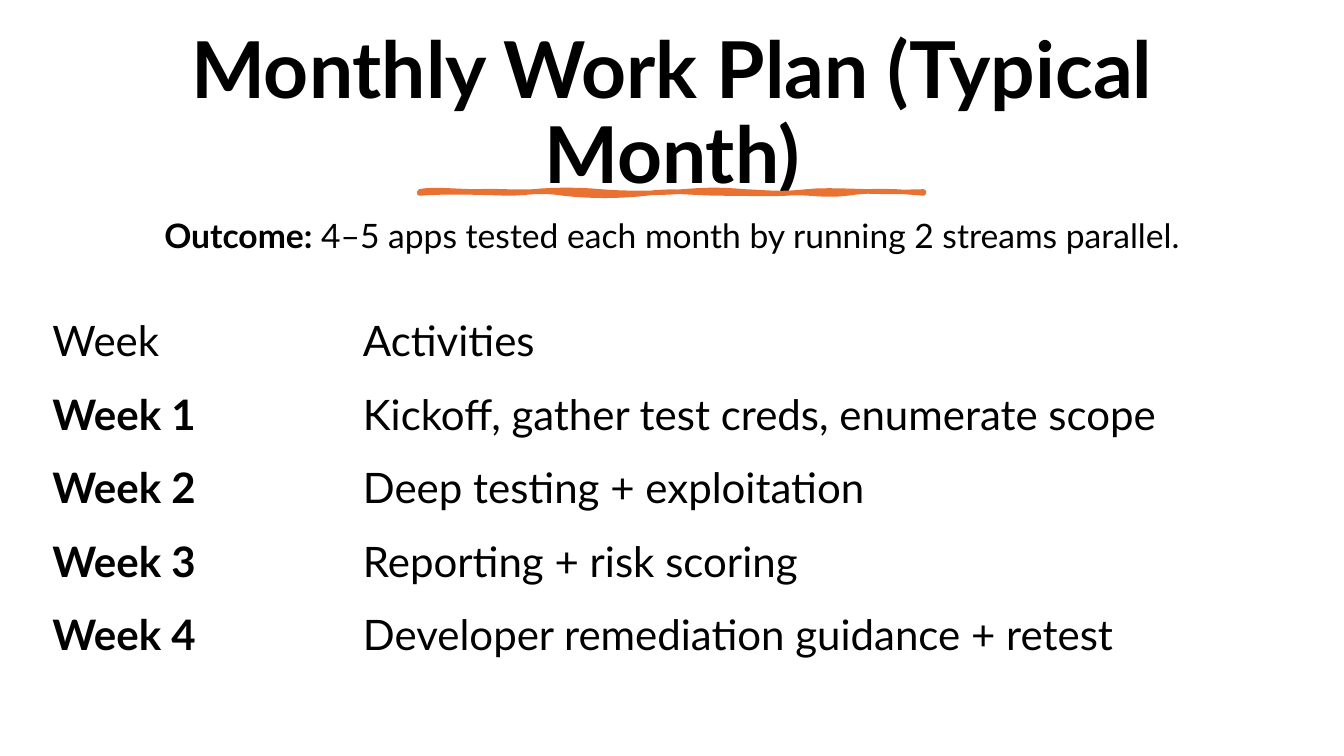
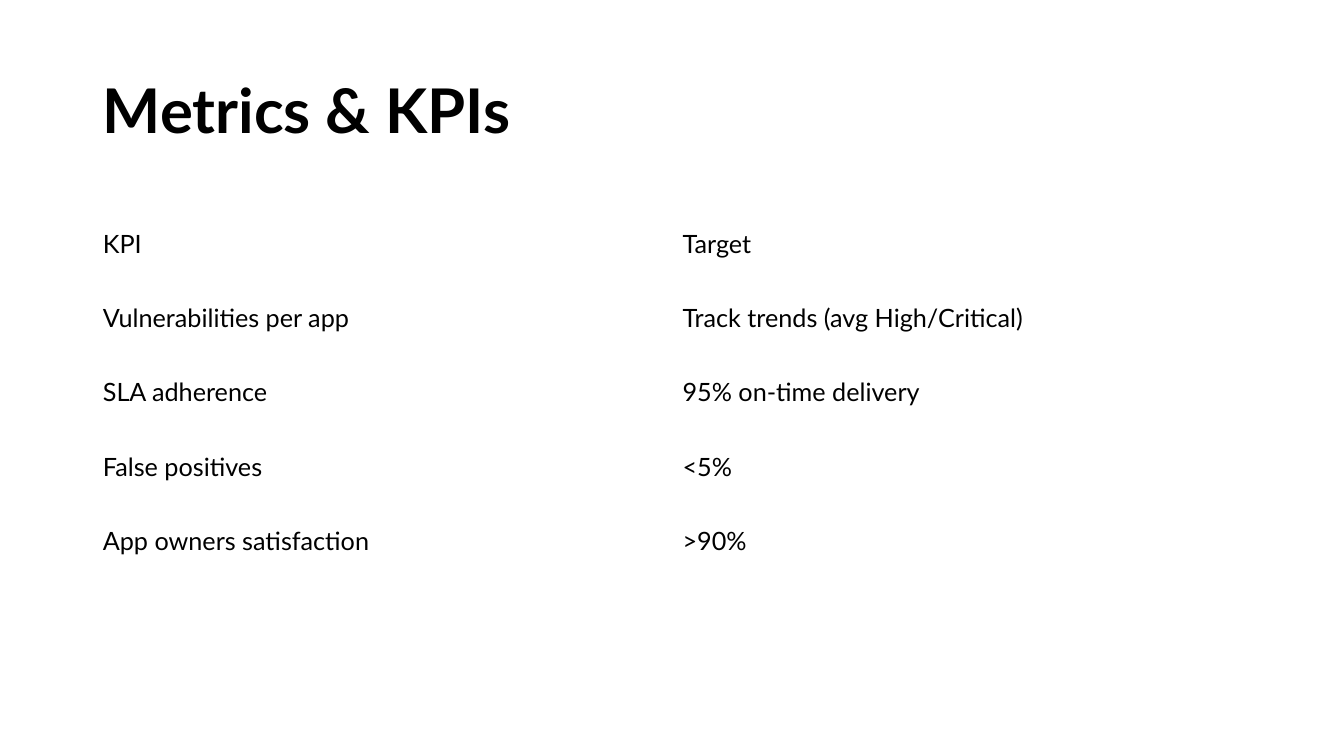
"""Build two slides: a monthly work plan and its metrics."""
from pptx import Presentation
from pptx import util as u
from pptx.dml.color import RGBColor
from pptx.enum import text

PX = 9144
FONT = "Lato"
COLORS = {"text": "000000", "accent": "E97132"}

PLAN = [
    ("Week", "Activities"),
    ("Week 1", "Kickoff, gather test creds, enumerate scope"),
    ("Week 2", "Deep testing + exploitation"),
    ("Week 3", "Reporting + risk scoring"),
    ("Week 4", "Developer remediation guidance + retest"),
]
GOALS = [
    ("KPI", "Target"),
    ("Vulnerabilities per app", "Track trends (avg High/Critical)"),
    ("SLA adherence", "95% on-time delivery"),
    ("False positives", "<5%"),
    ("App owners satisfaction", ">90%"),
]
START = (416, 190)
WAVE = [
    (428, 187, 454, 190, 473, 190), (492, 189, 509, 191, 529, 190),
    (549, 188, 574, 188, 596, 190), (617, 192, 653, 192, 677, 190),
    (702, 188, 714, 188, 739, 190), (763, 191, 774, 193, 800, 190),
    (826, 187, 867, 192, 916, 190), (917, 191, 916, 191, 916, 192),
    (895, 190, 865, 188, 840, 192), (815, 195, 801, 190, 779, 192),
    (756, 193, 747, 192, 717, 192), (687, 192, 667, 188, 641, 192),
    (614, 195, 585, 195, 559, 192), (534, 188, 523, 192, 503, 192),
    (483, 191, 438, 190, 416, 192), (416, 191, 416, 190, 416, 190),
]


def px(n):
    """Turn px into EMU."""
    return u.Emu(round(n * PX))


def color(key):
    """Look up a colour by its name."""
    return RGBColor.from_string(COLORS[key])


def add_run(para, words, size, bold=False):
    """Add one styled run to a paragraph."""
    run = para.add_run()
    run.text = words
    font = run.font
    font.name, font.size, font.bold = FONT, u.Pt(size), bold
    font.color.rgb = color("text")


def set_text(shape, box, runs, size, align, before=0):
    """Place a text shape and fill its only paragraph."""
    shape.left, shape.top, shape.width, shape.height = map(px, box)
    frame = shape.text_frame
    frame.word_wrap = True
    frame.auto_size = text.MSO_AUTO_SIZE.NONE
    frame.vertical_anchor = text.MSO_ANCHOR.MIDDLE
    para = frame.paragraphs[0]
    para.alignment = align
    para.line_spacing = 0.9
    para.space_before = u.Pt(before)
    for words, bold in runs:
        add_run(para, words, size, bold)


def add_slide(prs, title, box, size, align):
    """Add a slide with a bold title."""
    slide = prs.slides.add_slide(prs.slide_layouts[5])
    set_text(slide.shapes.title, box, [(title, True)], size, align)
    return slide


def add_grid(slide, box, cols, rows, size, pad, lead=False):
    """Add a plain table, with a bold first column under the header if lead."""
    frame = slide.shapes.add_table(len(rows), len(cols), *map(px, box))
    table = frame.table
    table.first_row = table.horz_banding = False
    for col, width in zip(table.columns, cols):
        col.width = px(width)
    for r, row in enumerate(rows):
        table.rows[r].height = px(box[3] / len(rows))
        for c, words in enumerate(row):
            cell = table.cell(r, c)
            cell.fill.background()
            cell.vertical_anchor = text.MSO_ANCHOR.MIDDLE
            cell.margin_left = cell.margin_right = px(pad[0])
            cell.margin_top = cell.margin_bottom = px(pad[1])
            add_run(cell.text_frame.paragraphs[0], words, size, lead and r > 0 and c == 0)


def trace(start, curves, steps=8):
    """List the EMU points along a chain of cubic curves."""
    points = []
    for x1, y1, x2, y2, x3, y3 in curves:
        for t in (i / steps for i in range(1, steps + 1)):
            part = ((1 - t) ** 3, 3 * t * (1 - t) ** 2, 3 * t * t * (1 - t), t ** 3)
            xs, ys = (start[0], x1, x2, x3), (start[1], y1, y2, y3)
            points.append(tuple(px(sum(a * b for a, b in zip(part, v))) for v in (xs, ys)))
        start = x3, y3
    return points


def add_wave(slide):
    """Draw the hand-drawn underline."""
    pen = slide.shapes.build_freeform(*map(px, START))
    pen.add_line_segments(trace(START, WAVE), close=True)
    wave = pen.convert_to_shape()
    wave.shadow.inherit = False
    wave.fill.solid()
    wave.fill.fore_color.rgb = wave.line.color.rgb = color("accent")
    wave.line.width = u.Pt(3.25)


def add_plan(prs):
    """Build the work plan slide."""
    mid = text.PP_ALIGN.CENTER
    slide = add_slide(prs, "Monthly Work Plan (Typical Month)", (70, 46, 1193, 137), 56, mid)
    box = (70, 198, 1193, 75)
    runs = [("Outcome:", True),
            (" 4–5 apps tested each month by running 2 streams parallel.", False)]
    set_text(slide.shapes.add_textbox(*map(px, box)), box, runs, 24, mid, 10)
    add_wave(slide)
    add_grid(slide, (35, 301, 1263, 365), (308, 955), PLAN, 30, (17, 8), True)


def add_goals(prs):
    """Build the metrics slide."""
    slide = add_slide(prs, "Metrics & KPIs", (92, 40, 1150, 145), 44, text.PP_ALIGN.LEFT)
    add_grid(slide, (92, 205, 1150, 368), (575, 575), GOALS, 18, (10, 5))


def main():
    """Build and save the deck."""
    prs = Presentation()
    prs.slide_width, prs.slide_height = px(1333), px(750)
    add_plan(prs)
    add_goals(prs)
    prs.save("out.pptx")


if __name__ == "__main__":
    main()
